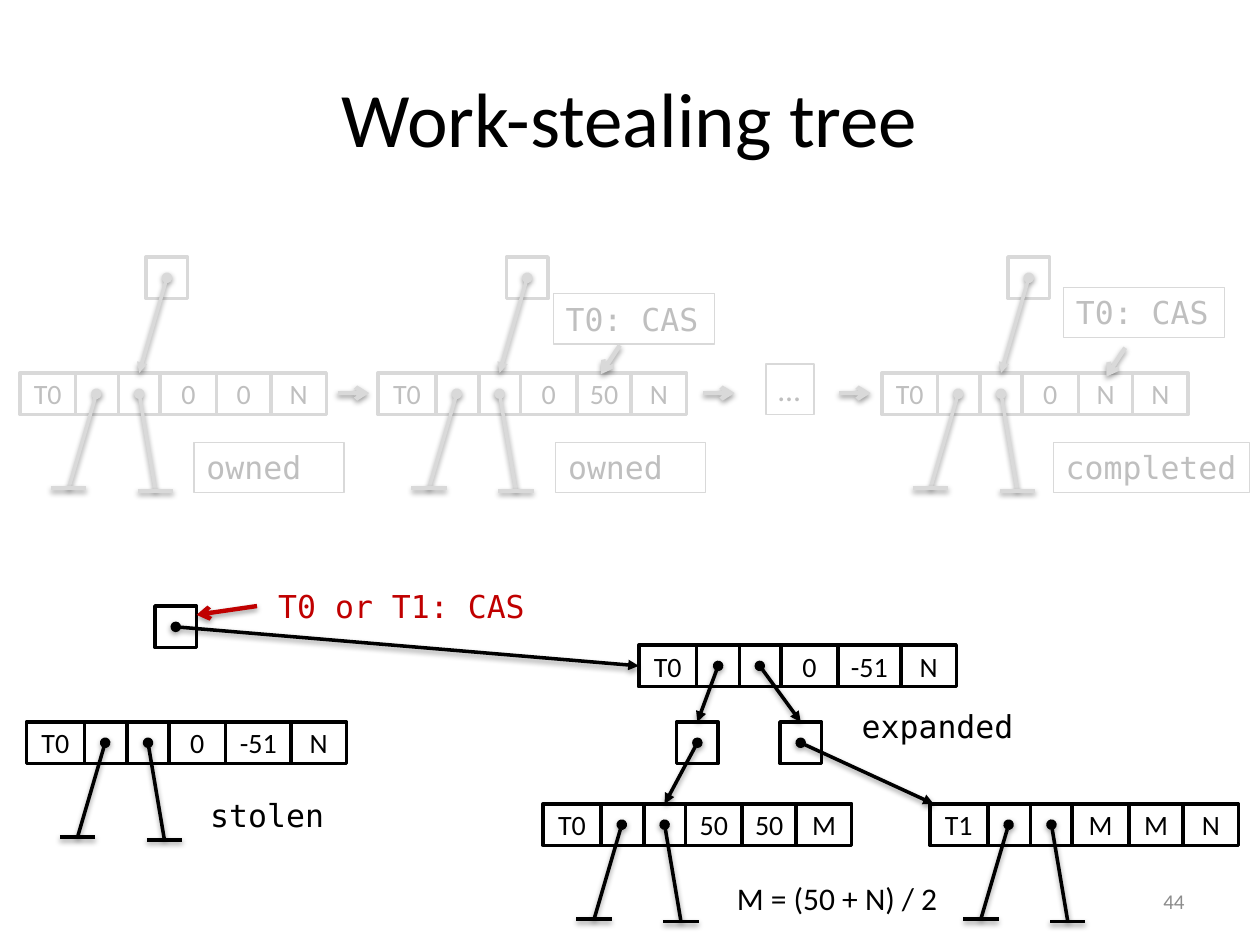
from itertools import accumulate

from lxml.etree import SubElement
from pptx import Presentation
from pptx.dml.color import RGBColor
from pptx.enum.shapes import MSO_CONNECTOR, MSO_SHAPE
from pptx.enum.text import MSO_ANCHOR, MSO_AUTO_SIZE, PP_ALIGN
from pptx.oxml.ns import qn
from pptx.util import Inches, Pt

COLORS = {"black": "000000", "white": "FFFFFF", "red": "C00000",
          "faded_line": "D9D9D9", "faded_text": "BFBFBF", "number": "8C8C8C"}
ACTIVE = ("black", "black")
FADED = ("faded_line", "faded_text")
MONO, SANS = "DejaVu Sans Mono", "Calibri"
CELL = 0.33
TOP, LEFT = 0, 1


def rgb(name):
    return RGBColor.from_string(COLORS[name])


def style(paragraph, size, color, font=SANS, align=None):
    paragraph.font.size = Pt(size)
    paragraph.font.name = font
    paragraph.font.color.rgb = rgb(color)
    paragraph.alignment = align


def add_cell(slide, left, top, tone, width=CELL, value=""):
    line_color, text_color = tone
    cell = slide.shapes.add_shape(MSO_SHAPE.RECTANGLE, Inches(left), Inches(top),
                                  Inches(width), Inches(CELL))
    cell.shadow.inherit = False
    cell.fill.solid()
    cell.fill.fore_color.rgb = rgb("white")
    cell.line.color.rgb = rgb(line_color)
    cell.line.width = Pt(2)
    if value:
        frame = cell.text_frame
        frame.margin_left = frame.margin_right = 0
        frame.vertical_anchor = MSO_ANCHOR.MIDDLE
        frame.text = value
        style(frame.paragraphs[0], 16, text_color, align=PP_ALIGN.CENTER)
    return cell


def add_link(slide, start, end, color, head=None, tail=None, width=2, target=None):
    """Draw a line; target is an optional (shape, side) to join its end to."""
    link = slide.shapes.add_connector(MSO_CONNECTOR.STRAIGHT,
                                      *map(Inches, start), *map(Inches, end))
    link.line.color.rgb = rgb(color)
    link.line.width = Pt(width)
    outline = link.element.spPr.find(qn("a:ln"))
    for tag, kind in (("a:headEnd", head), ("a:tailEnd", tail)):
        if kind:
            SubElement(outline, qn(tag), type=kind)
    if target:
        link.end_connect(*target)


def add_pointer(slide, start, end, tone, target=None):
    add_link(slide, start, end, tone[0], "oval", "triangle", target=target)


def add_arrow(slide, start, end, color):
    add_link(slide, start, end, color, tail="arrow", width=2.5)


def add_label(slide, left, top, width, text, color="black", font=MONO,
              border=None, wrap=True):
    label = slide.shapes.add_textbox(Inches(left), Inches(top), Inches(width), Inches(0.4))
    frame = label.text_frame
    frame.word_wrap = wrap
    frame.auto_size = MSO_AUTO_SIZE.SHAPE_TO_FIT_TEXT
    frame.text = text
    style(frame.paragraphs[0], 18, color, font)
    if border:
        label.line.color.rgb = rgb(border)
        label.line.width = Pt(0.75)


def add_faded_label(slide, left, top, width, text, **options):
    add_label(slide, left, top, width, text, "faded_text", border="faded_line", **options)


def add_node(slide, left, top, values, tone, owner=0.46, progress=0.43, leaf=True):
    """Draw owner, two child pointers and three numbers; return the cells."""
    widths = [owner, 0.34, CELL, 0.45, progress, 0.44]
    lefts = accumulate(widths[:-1], initial=left)
    texts = [values[0], "", "", *values[1:]]
    cells = [add_cell(slide, x, top, tone, width, text)
             for x, width, text in zip(lefts, widths, texts)]
    if leaf:
        first = left + owner + CELL / 2
        for x, dx, drop in ((first, -0.22, 0.75), (first + 0.34, 0.13, 0.77)):
            ground = top + CELL / 2 + drop
            add_link(slide, (x, top + CELL / 2), (x + dx, ground), tone[0], "oval")
            add_link(slide, (x + dx - 0.14, ground), (x + dx + 0.14, ground), tone[0])
    return cells


def add_step(slide, left, top, values, owner, state, state_at, state_width):
    """Draw a faded root with its leaf node and state."""
    root = left + owner + 0.56
    add_cell(slide, root, top, FADED)
    node = add_node(slide, left, top + 0.92, values, FADED, owner)
    add_pointer(slide, (root + CELL / 2, top + CELL / 2),
                (left + owner + 0.5, top + 0.92), FADED, (node[2], TOP))
    add_faded_label(slide, left + state_at, top + 1.47, state_width, state)


def add_history(slide, left, top):
    steps = ((0, ("T0", "0", "0", "N"), 0.44, "owned", 1.38, 1.19),
             (2.84, ("T0", "0", "50", "N"), 0.46, "owned", 1.41, 1.19),
             (6.84, ("T0", "0", "N", "N"), 0.44, "completed", 1.36, 1.56))
    for dx, *step in steps:
        add_step(slide, left + dx, top, *step)
    for dx in (2.52, 5.42, 6.5):
        add_arrow(slide, (left + dx, top + 1.08), (left + dx + 0.25, top + 1.08),
                  "faded_line")
    add_faded_label(slide, left + 5.92, top + 0.85, 0.38, "…", font=SANS, wrap=False)
    for label_x, label_y, arrow_x, arrow_y in ((4.23, 0.29, 4.76, 0.7),
                                               (8.28, 0.24, 8.77, 0.72)):
        add_faded_label(slide, left + label_x, top + label_y, 1.28, "T0: CAS")
        add_arrow(slide, (left + arrow_x, top + arrow_y),
                  (left + arrow_x - 0.15, top + arrow_y + 0.23), "faded_line")


def add_stolen(slide, left, top):
    """Draw the stolen node and its root; return the root's centre."""
    add_cell(slide, left + 1.02, top, ACTIVE)
    add_node(slide, left, top + 0.92, ("T0", "0", "-51", "N"), ACTIVE, progress=0.52)
    add_label(slide, left + 1.36, top + 1.46, 1.19, "stolen")
    add_label(slide, left + 1.9, top - 0.2, 2.26, "T0 or T1: CAS", "red")
    add_arrow(slide, (left + 1.83, top), (left + 1.35, top + 0.07), "red")
    return left + 1.02 + CELL / 2, top + CELL / 2


def add_expanded(slide, left, top, root):
    parent = add_node(slide, left + 0.76, top, ("T0", "0", "-51", "N"), ACTIVE,
                      progress=0.5, leaf=False)
    add_pointer(slide, root, (left + 0.76, top + CELL / 2), ACTIVE, (parent[0], LEFT))
    own = add_node(slide, left, top + 1.26, ("T0", "50", "50", "M"), ACTIVE)
    add_node(slide, left + 3.07, top + 1.26, ("T1", "M", "M", "N"), ACTIVE)
    branches = ((1.39, 1.06, (0.96, 1.26), (own[2], TOP)),
                (1.72, 1.88, (3.1, 1.26), None))
    for source_x, box_x, (end_x, end_y), target in branches:
        box = add_cell(slide, left + box_x, top + 0.61, ACTIVE)
        center_x = left + box_x + CELL / 2
        add_pointer(slide, (left + source_x, top + CELL / 2), (center_x, top + 0.61),
                    ACTIVE, (box, TOP))
        add_pointer(slide, (center_x, top + 0.61 + CELL / 2),
                    (left + end_x, top + end_y), ACTIVE, target)
    add_label(slide, left + 2.43, top + 0.44, 1.48, "expanded")
    add_label(slide, left + 1.44, top + 1.81, 1.82, "M = (50 + N) / 2",
              font=SANS, wrap=False)


def add_title(slide, left, top, width, height):
    title = slide.shapes.title
    title.left, title.top = Inches(left), Inches(top)
    title.width, title.height = Inches(width), Inches(height)
    title.text_frame.text = "Work-stealing tree"
    title.text_frame.vertical_anchor = MSO_ANCHOR.MIDDLE
    style(title.text_frame.paragraphs[0], 44, "black", align=PP_ALIGN.CENTER)


def add_page_number(slide, left, top, width, height):
    number = slide.shapes.add_textbox(Inches(left), Inches(top), Inches(width), Inches(height))
    frame = number.text_frame
    frame.word_wrap = True
    frame.vertical_anchor = MSO_ANCHOR.MIDDLE
    frame.text = "44"
    style(frame.paragraphs[0], 12, "number", align=PP_ALIGN.RIGHT)


def main():
    deck = Presentation()
    deck.slide_width, deck.slide_height = Inches(10), Inches(7.5)
    slide = deck.slides.add_slide(deck.slide_layouts[5])
    add_title(slide, 0.5, 0.3, 9, 1.25)
    add_history(slide, 0.16, 2.04)
    root = add_stolen(slide, 0.21, 4.81)
    add_expanded(slide, 4.31, 5.12, root)
    add_page_number(slide, 7.17, 6.95, 2.33, 0.4)
    deck.save("out.pptx")


if __name__ == "__main__":
    main()
